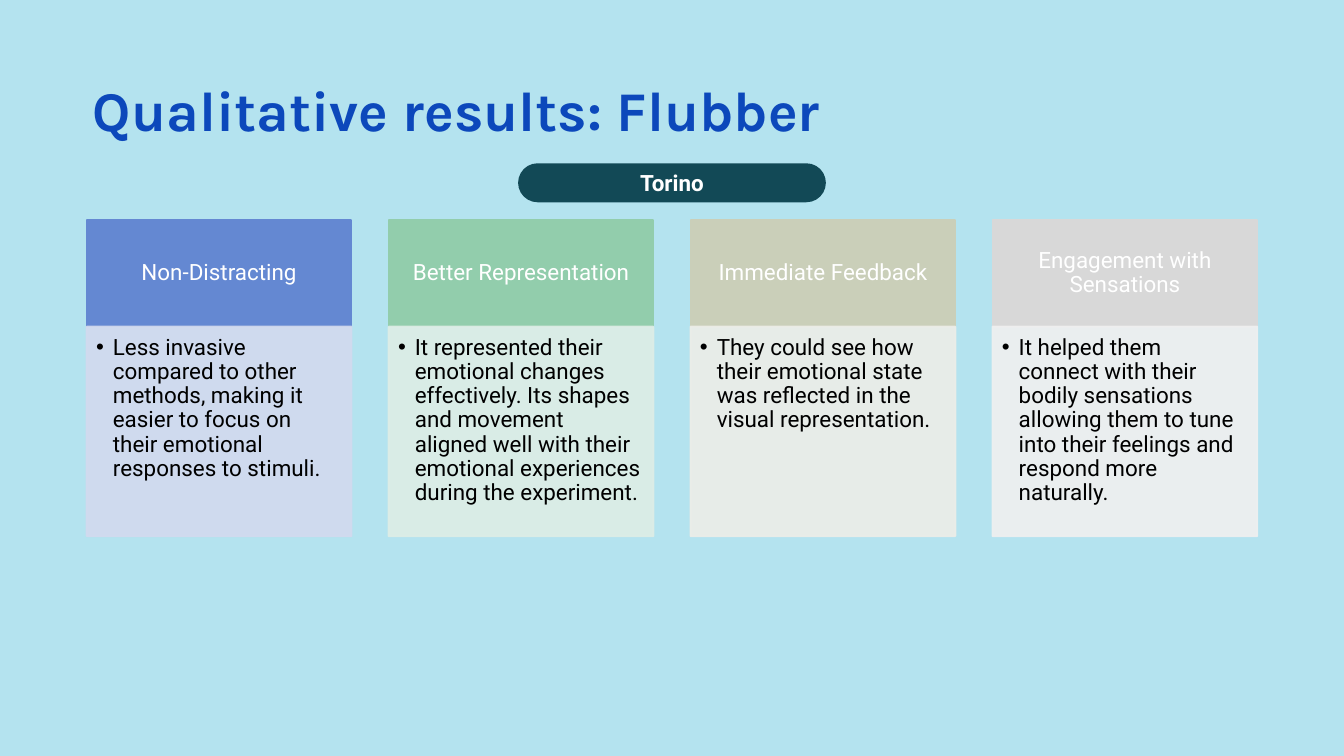
import pptx
import pptx.dml.color
import pptx.enum.shapes
import pptx.enum.text
import pptx.oxml
import pptx.oxml.ns
import pptx.util

# Content
TITLE = "Qualitative results: Flubber"
CITY = "Torino"
FINDINGS = [  # heading, detail, heading colour, detail colour
    ("Non-Distracting",
     "Less invasive compared to other methods, making it easier to focus on "
     "their emotional responses to stimuli.", "6488D2", "D3DAEE"),
    ("Better Representation",
     "It represented their emotional changes effectively. Its shapes and movement "
     "aligned well with their emotional experiences during the experiment.",
     "92CDAC", "DEEDE6"),
    ("Immediate Feedback",
     "They could see how their emotional state was reflected in the visual "
     "representation.", "CACFB9", "EDEEE8"),
    ("Engagement with Sensations",
     "It helped them connect with their bodily sensations allowing them to tune "
     "into their feelings and respond more naturally.", "D8D8D8", "F0F0F0"),
]

THEME = {
    "background": "B4E3EF", "title": "0C48BB", "pill": "124956",
    "light": "FFFFFF", "dark": "000000",
    "title_font": "Karla", "body_font": "Roboto",
    "title_size": 60, "body_size": 24, "border": 2, "detail_alpha": 90,
}

# Layout in px, 100 to the inch
PX = 9144
SLIDE_W, SLIDE_H = 2000, 1125
TITLE_BOX = (138, 112, 1607, 117)
PILL_BOX = (771, 243, 458, 58)
ROW_LEFT, ROW_W, CARD_W = 129, 1742, 394
HEAD_TOP, HEAD_H, DETAIL_H = 328, 158, 312
HEAD_INSETS = (19, 11, 19, 11)
DETAIL_INSETS = (14, 14, 19, 21)
BULLET_INDENT = 25

ALIGN = pptx.enum.text.PP_ALIGN
ANCHOR = pptx.enum.text.MSO_ANCHOR
SHAPE = pptx.enum.shapes.MSO_SHAPE


def emu(px):
    return pptx.util.Emu(round(px * PX))


def rgb(code):
    return pptx.dml.color.RGBColor.from_string(code)


def write(shape, text, color, font, size, align, anchor, insets, bold=False):
    frame = shape.text_frame
    frame.word_wrap = True
    frame.auto_size = pptx.enum.text.MSO_AUTO_SIZE.NONE
    frame.vertical_anchor = anchor
    (frame.margin_left, frame.margin_top,
     frame.margin_right, frame.margin_bottom) = map(emu, insets)
    frame.text = text
    paragraph = frame.paragraphs[0]
    paragraph.alignment = align
    paragraph.font.name = font
    paragraph.font.size = pptx.util.Pt(size)
    paragraph.font.bold = bold
    paragraph.font.color.rgb = rgb(color)
    return paragraph


def add_block(slide, kind, box, fill, border=True):
    block = slide.shapes.add_shape(kind, *map(emu, box))
    block.shadow.inherit = False
    block.fill.solid()
    block.fill.fore_color.rgb = rgb(fill)
    if border:
        block.line.color.rgb = rgb(fill)
        block.line.width = pptx.util.Pt(THEME["border"])
    else:
        block.line.fill.background()
    return block


def make_translucent(block, percent):
    for color in block._element.spPr.iter(pptx.oxml.ns.qn("a:srgbClr")):
        color.append(pptx.oxml.parse_xml(
            f'<a:alpha {pptx.oxml.ns.nsdecls("a")} val="{percent * 1000}"/>'))


def add_bullet(paragraph, color):
    properties = paragraph._p.get_or_add_pPr()
    properties.set("marL", str(emu(BULLET_INDENT)))
    properties.set("indent", str(-emu(BULLET_INDENT)))
    ns = pptx.oxml.ns.nsdecls("a")
    bullet = [f'<a:buClr {ns}><a:srgbClr val="{color}"/></a:buClr>',
              f'<a:buFont {ns} typeface="Arial"/>',
              f'<a:buChar {ns} char="•"/>']
    default_font = properties.find(pptx.oxml.ns.qn("a:defRPr"))
    for xml in bullet:
        part = pptx.oxml.parse_xml(xml)
        if default_font is None:
            properties.append(part)
        else:
            default_font.addprevious(part)


def add_card(slide, left, heading, detail, head_fill, detail_fill):
    body = (THEME["body_font"], THEME["body_size"])
    head = add_block(slide, SHAPE.RECTANGLE,
                     (left, HEAD_TOP, CARD_W, HEAD_H), head_fill)
    write(head, heading, THEME["light"], *body, ALIGN.CENTER, ANCHOR.MIDDLE,
          HEAD_INSETS).line_spacing = 0.9

    panel = add_block(slide, SHAPE.RECTANGLE,
                      (left, HEAD_TOP + HEAD_H, CARD_W, DETAIL_H), detail_fill)
    make_translucent(panel, THEME["detail_alpha"])
    point = write(panel, detail, THEME["dark"], *body, ALIGN.LEFT, ANCHOR.TOP,
                  DETAIL_INSETS)
    point.line_spacing = 0.9
    add_bullet(point, THEME["dark"])


def main():
    deck = pptx.Presentation()
    deck.slide_width, deck.slide_height = emu(SLIDE_W), emu(SLIDE_H)
    slide = deck.slides.add_slide(deck.slide_layouts.get_by_name("Title Only"))
    slide.background.fill.solid()
    slide.background.fill.fore_color.rgb = rgb(THEME["background"])

    # Title
    title = slide.shapes.title
    title.left, title.top, title.width, title.height = map(emu, TITLE_BOX)
    write(title, TITLE, THEME["title"], THEME["title_font"], THEME["title_size"],
          ALIGN.LEFT, ANCHOR.TOP, (0, 0, 0, 0), bold=True)

    # Finding cards, spread evenly over the row
    step = (ROW_W - CARD_W) / (len(FINDINGS) - 1)
    for column, finding in enumerate(FINDINGS):
        add_card(slide, ROW_LEFT + column * step, *finding)

    # City label
    pill = add_block(slide, SHAPE.ROUNDED_RECTANGLE, PILL_BOX, THEME["pill"],
                     border=False)
    pill.adjustments[0] = 0.5
    write(pill, CITY, THEME["light"], THEME["body_font"], THEME["body_size"],
          ALIGN.CENTER, ANCHOR.MIDDLE, (10, 5, 10, 5), bold=True)

    deck.save("out.pptx")


if __name__ == "__main__":
    main()
